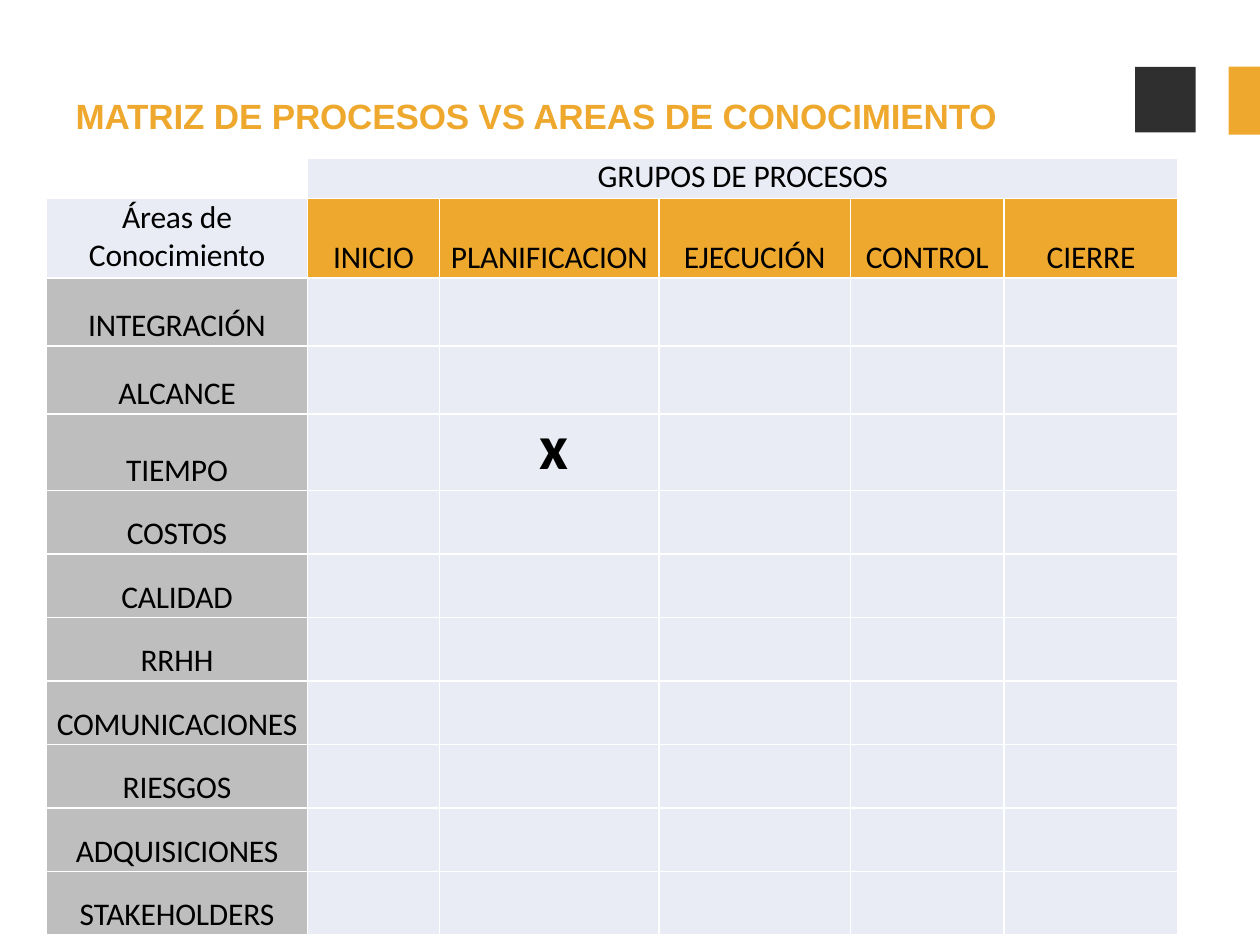
from lxml import etree
from pptx import Presentation
from pptx.dml.color import RGBColor
from pptx.enum import shapes, text
from pptx.oxml import ns
from pptx.util import Inches, Pt

COLORS = {"orange": "EEA82E", "pale": "E9ECF4", "gray": "BEBEBE",
          "dark": "2F2F2F", "black": "000000", "white": "FFFFFF"}


def write(frame, lines, size=18, font="Calibri", color="black", bold=False,
          align=text.PP_ALIGN.CENTER, tracking=-0.1, line_spacing=None):
    """Put one paragraph per line into the frame; tracking is in points."""
    for number, line in enumerate(lines.split("\n")):
        paragraph = frame.add_paragraph() if number else frame.paragraphs[0]
        paragraph.alignment = align
        if line_spacing:
            paragraph.line_spacing = Pt(line_spacing)
        run = paragraph.add_run()
        run.text = line
        run.font.size = Pt(size)
        run.font.name = font
        run.font.bold = bold
        run.font.color.rgb = RGBColor.from_string(COLORS[color])
        run._r.get_or_add_rPr().set("spc", str(round(tracking * 100)))


def style_cell(cell, fill):
    """Set white borders, tight margins and a fill (None leaves it clear)."""
    cell.margin_left = cell.margin_right = cell.margin_top = 0
    cell.margin_bottom = Inches(0.01)
    properties = cell._tc.get_or_add_tcPr()
    for side in ("a:lnL", "a:lnR", "a:lnT", "a:lnB"):
        border = etree.SubElement(properties, ns.qn(side), w=str(Pt(1)))
        solid = etree.SubElement(border, ns.qn("a:solidFill"))
        etree.SubElement(solid, ns.qn("a:srgbClr"), val=COLORS["white"])
    if fill:
        cell.fill.solid()
        cell.fill.fore_color.rgb = RGBColor.from_string(COLORS[fill])
    else:
        cell.fill.background()


prs = Presentation()
prs.slide_width, prs.slide_height = Inches(10), Inches(7.5)
slide = prs.slides.add_slide(prs.slide_layouts[6])

# Emblem block and the accent at the right edge
for left, top, width, height, color in [(9.01, 0.53, 0.48, 0.52, "dark"),
                                        (9.75, 0.53, 0.25, 0.54, "orange")]:
    block = slide.shapes.add_shape(shapes.MSO_SHAPE.RECTANGLE, Inches(left),
                                   Inches(top), Inches(width), Inches(height))
    block.shadow.inherit = False
    block.fill.solid()
    block.fill.fore_color.rgb = RGBColor.from_string(COLORS[color])
    block.line.fill.background()

# Matrix of process groups against knowledge areas
groups = ["INICIO", "PLANIFICACION", "EJECUCIÓN", "CONTROL", "CIERRE"]
areas = ["INTEGRACIÓN", "ALCANCE", "TIEMPO", "COSTOS", "CALIDAD", "RRHH",
         "COMUNICACIONES", "RIESGOS", "ADQUISICIONES", "STAKEHOLDERS"]
column_widths = [2.07, 1.05, 1.74, 1.52, 1.22, 1.38]
table_height = 6.16
tall_rows = [0.31, 0.63, 0.54, 0.54, 0.61]
short_count = len(areas) + 2 - len(tall_rows)
short_row = (table_height - sum(tall_rows)) / short_count
row_heights = tall_rows + [short_row] * short_count

matrix = slide.shapes.add_table(
    len(row_heights), len(column_widths), Inches(0.37), Inches(1.26),
    Inches(sum(column_widths)), Inches(table_height)).table
matrix.first_row = matrix.horz_banding = False
for column, width in zip(matrix.columns, column_widths):
    column.width = Inches(width)
for row, height in zip(matrix.rows, row_heights):
    row.height = Inches(height)

for r in range(len(row_heights)):
    for c in range(len(column_widths)):
        if r == c == 0:
            fill = None
        elif r == 1 and c > 0:
            fill = "orange"
        elif r > 1 and c == 0:
            fill = "gray"
        else:
            fill = "pale"
        style_cell(matrix.cell(r, c), fill)

matrix.cell(0, 1).merge(matrix.cell(0, len(groups)))
write(matrix.cell(0, 1).text_frame, "GRUPOS DE PROCESOS", line_spacing=21.1)
write(matrix.cell(1, 0).text_frame, "Áreas de\nConocimiento")

labels = [(matrix.cell(1, c), name) for c, name in enumerate(groups, 1)]
labels += [(matrix.cell(r, 0), name) for r, name in enumerate(areas, 2)]
for cell, name in labels:
    cell.vertical_anchor = text.MSO_ANCHOR.BOTTOM
    write(cell.text_frame, name)

mark = matrix.cell(2 + areas.index("TIEMPO"), 1 + groups.index("PLANIFICACION"))
mark.margin_left = Inches(0.07)
write(mark.text_frame, "x", size=36, bold=True, tracking=0, line_spacing=41.6)

# Title
title = slide.shapes.add_textbox(Inches(0.59), Inches(0.74),
                                 Inches(7.39), Inches(0.36)).text_frame
title.word_wrap = True
title.margin_left = title.margin_top = Inches(0.01)
title.margin_right = title.margin_bottom = 0
write(title, "MATRIZ DE PROCESOS VS AREAS DE CONOCIMIENTO", size=20, font="Arial",
      color="orange", bold=True, align=text.PP_ALIGN.LEFT)

prs.save("out.pptx")
